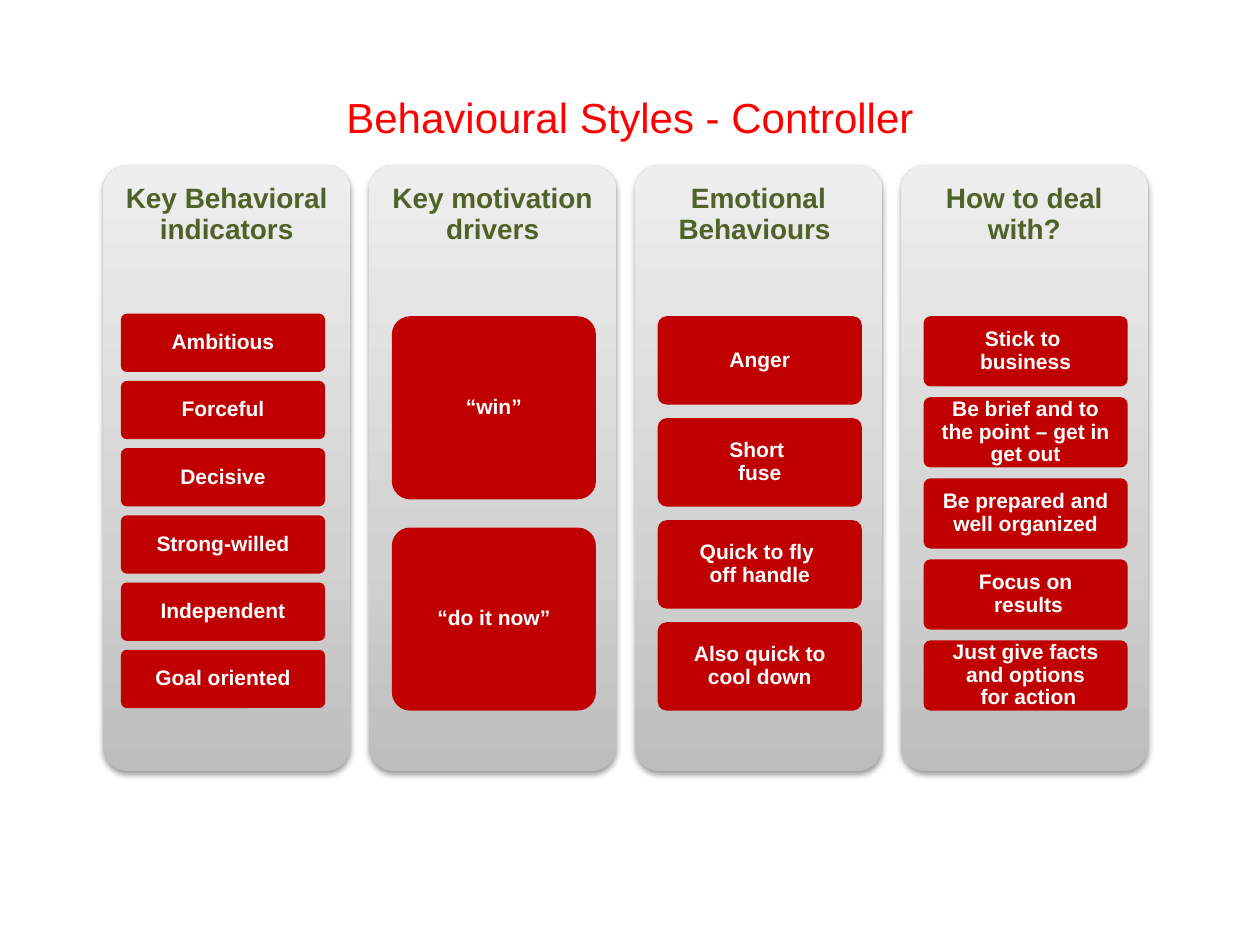
from dataclasses import dataclass

from pptx import Presentation, oxml, util as u
from pptx.dml.color import RGBColor
from pptx.enum import shapes, text
from pptx.oxml import ns

TITLE = "Behavioural Styles - Controller"
COLUMNS = [
    ("Key Behavioral indicators",
     ["Ambitious", "Forceful", "Decisive", "Strong-willed", "Independent", "Goal oriented"]),
    ("Key motivation drivers", ["“win”", "“do it now”"]),
    ("Emotional Behaviours ",
     ["Anger", "Short \vfuse", "Quick to fly \voff handle", "Also quick to cool down"]),
    ("How to deal with?",
     ["Stick to \vbusiness", "Be brief and to the point – get in get out",
      "Be prepared and well organized", "Focus on\v results",
      "Just give facts and options\v for action"]),
]


@dataclass(frozen=True)
class Theme:
    font: str = "Arial"
    title: str = "FF0000"
    heading: str = "4F6228"
    card: str = "C00000"
    card_text: str = "FFFFFF"
    panel_stops: tuple = ((0, "BDBDBD"), (35, "D1D1D1"), (100, "EEEEEE"))
    title_size: int = 24
    heading_size: int = 16
    card_size: int = 12


THEME = Theme()
PANEL_LEFT, PANEL_TOP, PANEL_WIDTH, PANEL_HEIGHT = 0.82, 1.31, 1.96, 4.81
PANEL_PITCH = 2.11
CARD_WIDTH, CARDS_HEIGHT = 1.62, 3.13
CARD_OFFSETS = [(0.14, 1.18)] + [(0.18, 1.2)] * 3  # from each panel's corner
CARD_TO_GAP = 6.5  # card height divided by the gap between cards


def write(shape, wording, size, color, bold=True, spacing=0.9,
          anchor=text.MSO_ANCHOR.MIDDLE, margins=(0.1, 0.05)):
    frame = shape.text_frame
    frame.text = wording
    frame.word_wrap = True
    frame.vertical_anchor = anchor
    frame.margin_left = frame.margin_right = u.Inches(margins[0])
    frame.margin_top, frame.margin_bottom = u.Inches(margins[1]), u.Inches(0.05)
    paragraph = frame.paragraphs[0]
    paragraph.alignment = text.PP_ALIGN.CENTER
    paragraph.line_spacing = spacing
    for run in paragraph.runs:
        run.font.name, run.font.size, run.font.bold = THEME.font, u.Pt(size), bold
        run.font.color.rgb = RGBColor.from_string(color)


def add_rounded(container, left, top, width, height):
    shape = container.add_shape(shapes.MSO_SHAPE.ROUNDED_RECTANGLE,
                                *map(u.Inches, (left, top, width, height)))
    shape.adjustments[0] = 0.1
    shape.line.fill.background()
    shape.shadow.inherit = False
    return shape


def shade_panel(panel):
    """Give the panel a three-stop vertical gradient and a soft shadow below."""
    panel.fill.gradient()
    panel.fill.gradient_angle = 90
    properties = panel.element.spPr
    stops = properties.find(".//" + ns.qn("a:gsLst"))
    for stop in list(stops):
        stops.remove(stop)
    for position, color in THEME.panel_stops:
        stops.append(oxml.parse_xml(
            f'<a:gs {ns.nsdecls("a")} pos="{position * 1000}"><a:srgbClr val="{color}"/></a:gs>'))
    properties.find(ns.qn("a:effectLst")).append(oxml.parse_xml(
        f'<a:outerShdw {ns.nsdecls("a")} blurRad="40000" dist="20000" dir="5400000" '
        'rotWithShape="0"><a:srgbClr val="000000"><a:alpha val="38000"/></a:srgbClr>'
        '</a:outerShdw>'))


def add_panel(slide, left, heading):
    panel = add_rounded(slide.shapes, left, PANEL_TOP, PANEL_WIDTH, PANEL_HEIGHT)
    shade_panel(panel)
    write(panel, heading, THEME.heading_size, THEME.heading,
          anchor=text.MSO_ANCHOR.TOP, margins=(0.04, 0.1))


def add_cards(slide, left, top, labels):
    height = CARDS_HEIGHT / (len(labels) + (len(labels) - 1) / CARD_TO_GAP)
    pitch = height * (1 + 1 / CARD_TO_GAP)
    group = slide.shapes.add_group_shape()
    for row, label in enumerate(labels):
        card = add_rounded(group.shapes, left, top + row * pitch, CARD_WIDTH, height)
        card.fill.solid()
        card.fill.fore_color.rgb = RGBColor.from_string(THEME.card)
        write(card, label, THEME.card_size, THEME.card_text)


def main():
    presentation = Presentation()
    presentation.slide_width, presentation.slide_height = u.Inches(10), u.Inches(7.5)
    slide = presentation.slides.add_slide(presentation.slide_layouts[6])

    title = slide.shapes.add_textbox(*map(u.Inches, (0.5, 0.3, 9, 1.25)))
    write(title, TITLE, THEME.title_size, THEME.title, bold=False, spacing=1.0)

    for index, ((heading, labels), (dx, dy)) in enumerate(zip(COLUMNS, CARD_OFFSETS)):
        left = PANEL_LEFT + index * PANEL_PITCH
        add_panel(slide, left, heading)
        add_cards(slide, left + dx, PANEL_TOP + dy, labels)

    presentation.save("out.pptx")


if __name__ == "__main__":
    main()
